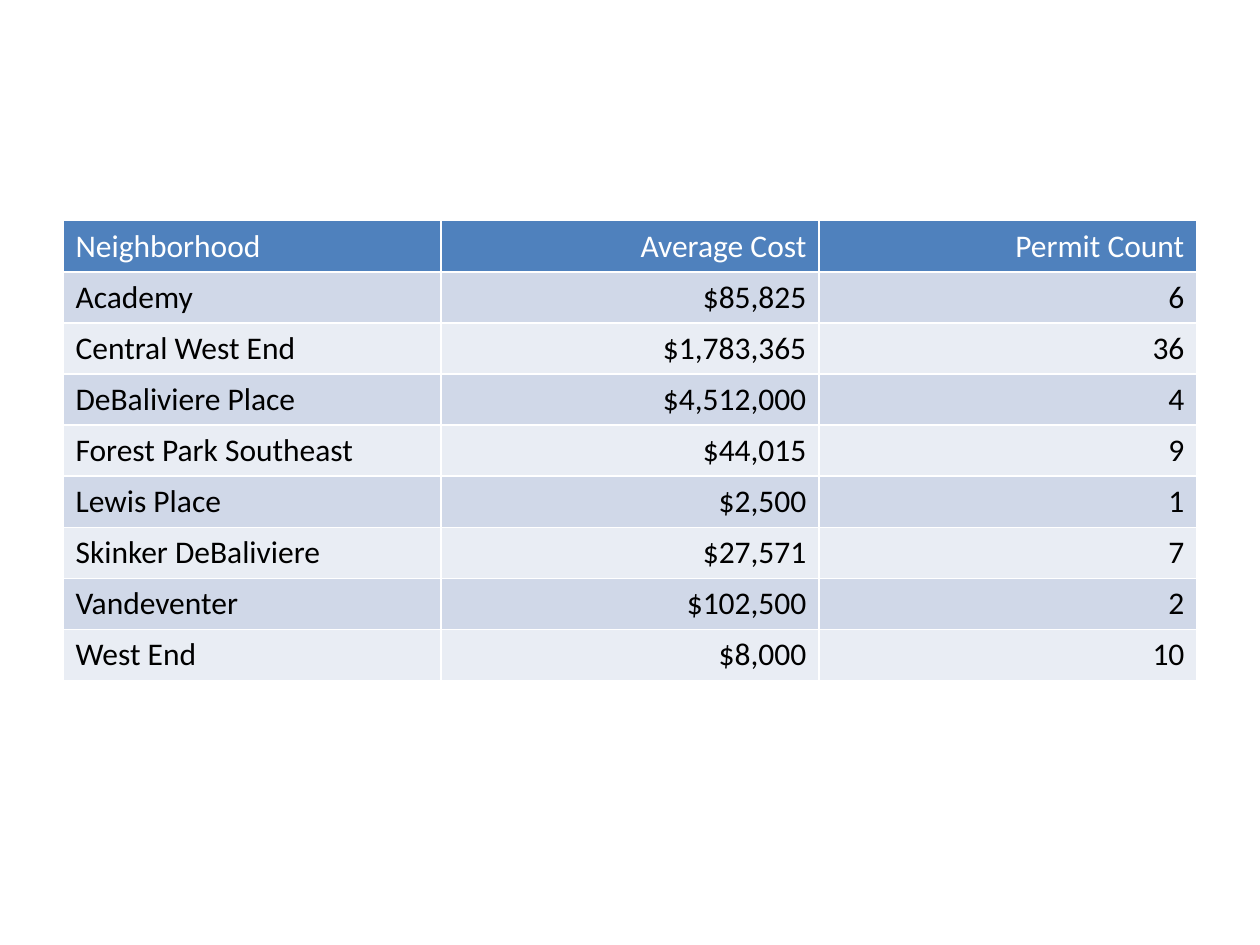
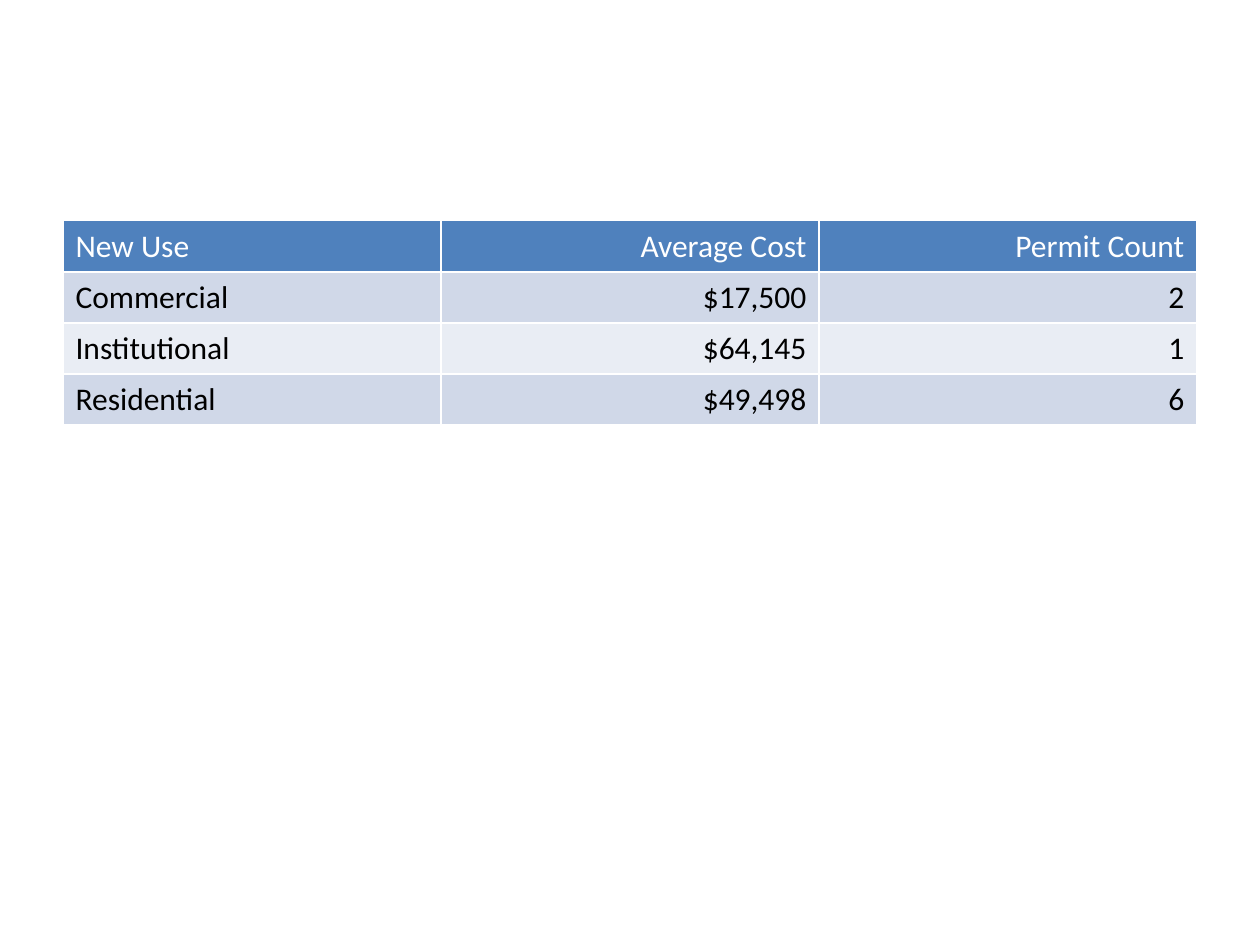
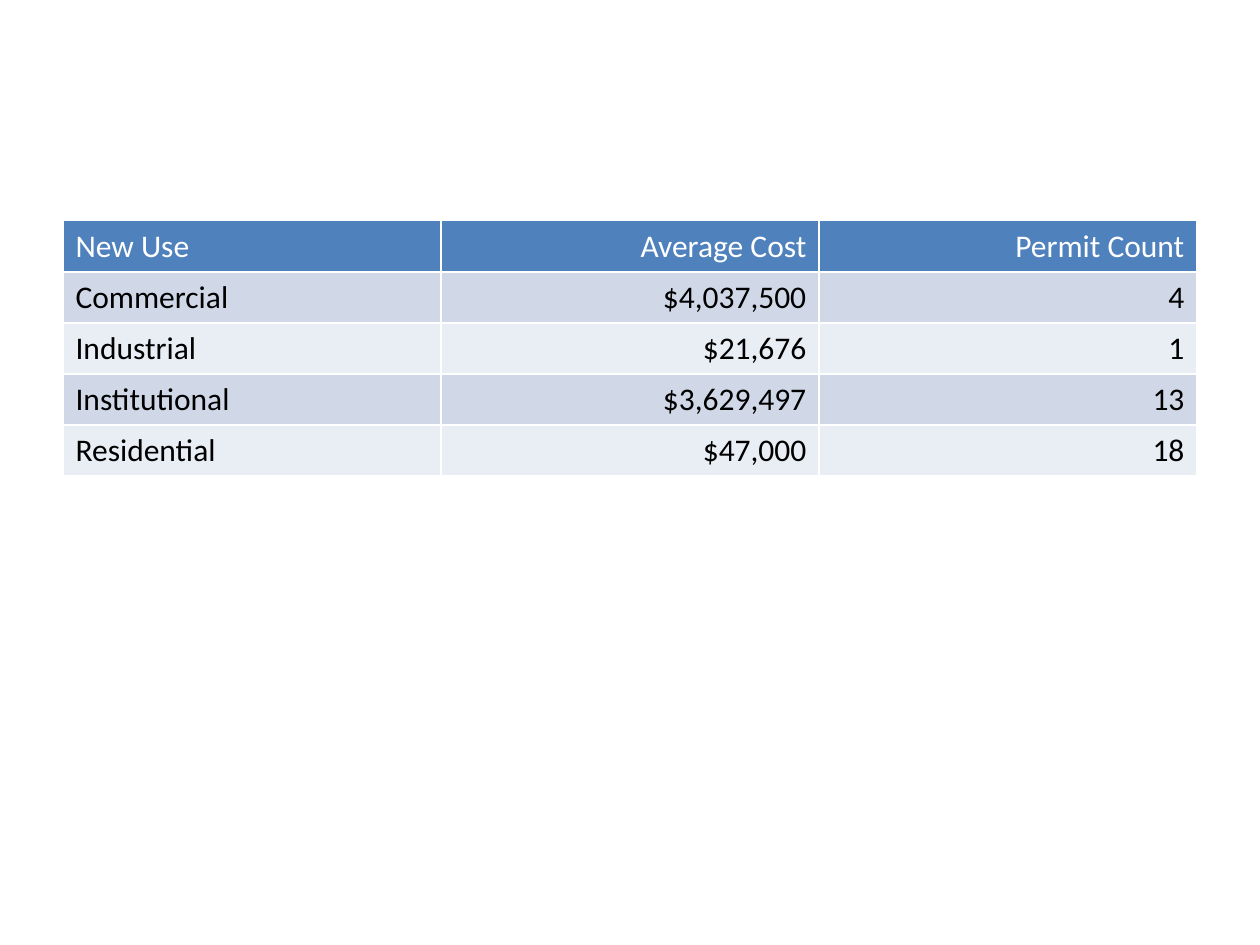
from dataclasses import dataclass

from lxml import etree
from pptx import Presentation
from pptx import util as u
from pptx.dml.color import RGBColor
from pptx.enum import text
from pptx.oxml.ns import qn

# Shared look
WHITE, BLACK = "FFFFFF", "000000"
HEADER_BLUE = "4F81BD"
BANDS = ("D0D8E8", "E9EDF4")
FONT, FONT_SIZE = "Calibri", u.Pt(18)
BORDER = u.Pt(1)

# Shared layout
LEFT, TOP = u.Cm(1.27), u.Cm(4.45)
COLUMN_WIDTH, ROW_HEIGHT = u.Cm(7.62), u.Cm(1.03)


@dataclass(frozen=True)
class PermitSummary:
    grouping: str
    rows: tuple[tuple[str, str, str], ...]


SUMMARIES = (
    PermitSummary("Neighborhood", (
        ("Academy", "$85,825", "6"),
        ("Central West End", "$1,783,365", "36"),
        ("DeBaliviere Place", "$4,512,000", "4"),
        ("Forest Park Southeast", "$44,015", "9"),
        ("Lewis Place", "$2,500", "1"),
        ("Skinker DeBaliviere", "$27,571", "7"),
        ("Vandeventer", "$102,500", "2"),
        ("West End", "$8,000", "10"),
    )),
    PermitSummary("New Use", (
        ("Commercial", "$17,500", "2"),
        ("Institutional", "$64,145", "1"),
        ("Residential", "$49,498", "6"),
    )),
    PermitSummary("New Use", (
        ("Commercial", "$4,037,500", "4"),
        ("Industrial", "$21,676", "1"),
        ("Institutional", "$3,629,497", "13"),
        ("Residential", "$47,000", "18"),
    )),
)


def color(value: str) -> RGBColor:
    return RGBColor.from_string(value)


def add_borders(cell) -> None:
    properties = cell._tc.get_or_add_tcPr()
    for side in ("lnL", "lnR", "lnT", "lnB"):
        line = etree.SubElement(properties, qn(f"a:{side}"), w=str(BORDER))
        fill = etree.SubElement(line, qn("a:solidFill"))
        etree.SubElement(fill, qn("a:srgbClr"), val=WHITE)


def fill_cell(cell, content: str, background: str, ink: str, is_number: bool) -> None:
    add_borders(cell)
    cell.fill.solid()
    cell.fill.fore_color.rgb = color(background)
    paragraph = cell.text_frame.paragraphs[0]
    paragraph.text = content
    paragraph.alignment = text.PP_ALIGN.RIGHT if is_number else text.PP_ALIGN.LEFT
    font = paragraph.runs[0].font
    font.name, font.size, font.bold = FONT, FONT_SIZE, False
    font.color.rgb = color(ink)


def add_summary(slide, summary: PermitSummary) -> None:
    header = (summary.grouping, "Average Cost", "Permit Count")
    lines = (header, *summary.rows)
    permits = slide.shapes.add_table(
        len(lines), len(header), LEFT, TOP,
        COLUMN_WIDTH * len(header), ROW_HEIGHT * len(lines),
    ).table
    permits.horz_banding = False

    for row, line in enumerate(lines):
        background = BANDS[(row - 1) % 2] if row else HEADER_BLUE
        ink = BLACK if row else WHITE
        for column, content in enumerate(line):
            fill_cell(permits.cell(row, column), content, background, ink, column > 0)


def main() -> None:
    deck = Presentation()
    deck.slide_width, deck.slide_height = u.Cm(25.4), u.Cm(19.05)
    for summary in SUMMARIES:
        add_summary(deck.slides.add_slide(deck.slide_layouts[6]), summary)
    deck.save("out.pptx")


if __name__ == "__main__":
    main()
